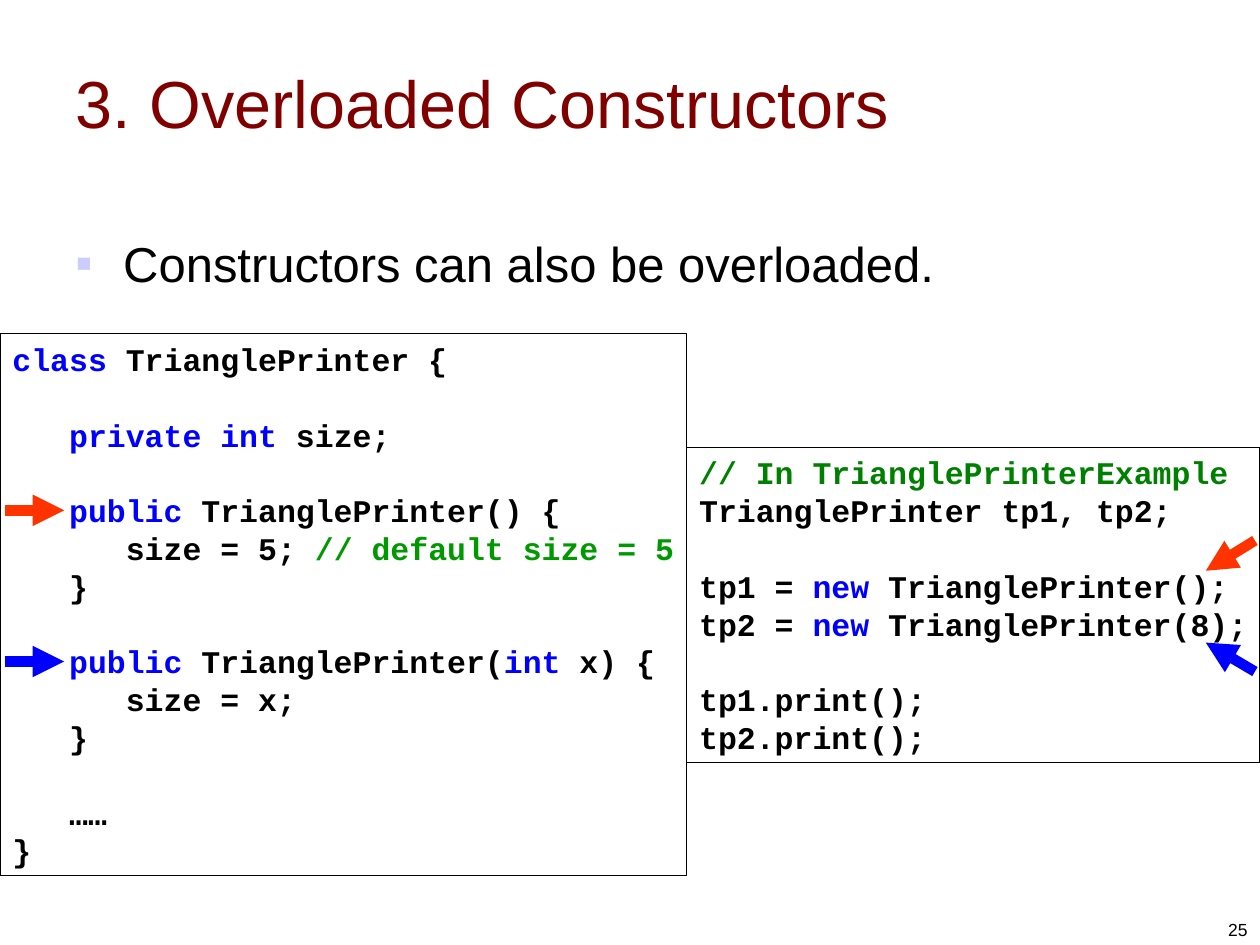
from dataclasses import dataclass

from lxml import etree
from pptx import Presentation
from pptx.dml.color import RGBColor
from pptx.enum.shapes import MSO_CONNECTOR, MSO_SHAPE
from pptx.enum.text import MSO_ANCHOR, MSO_AUTO_SIZE, PP_ALIGN
from pptx.oxml.ns import qn
from pptx.util import Inches, Pt

RECT, LINE = MSO_SHAPE.RECTANGLE, MSO_CONNECTOR.STRAIGHT
TOP, MIDDLE, BOTTOM = MSO_ANCHOR.TOP, MSO_ANCHOR.MIDDLE, MSO_ANCHOR.BOTTOM
LEFT, RIGHT = PP_ALIGN.LEFT, PP_ALIGN.RIGHT
TITLE_ONLY = 5
W, H = 10, 7.5
ROW, INSET, SPLIT = 0.3, 0.05, 0.545 * W


@dataclass(frozen=True)
class Theme:
    """Colours, fonts and type sizes of the slide."""
    ink: str = "000000"
    paper: str = "FFFFFF"
    title: str = "800000"
    bullet: str = "CCCCFF"
    keyword: str = "0000FF"
    note: str = "009900"
    heading: str = "008000"
    first: str = "FF3300"
    second: str = "0000FF"
    sans: str = "Arial"
    mono: str = "Courier New"
    title_size: int = 38
    body_size: int = 28
    code_size: int = 18
    number_size: int = 10


T = Theme()

CLASS_CODE = [
    [("class", T.keyword), " TrianglePrinter {"],
    [],
    ["   ", ("private int", T.keyword), " size;"],
    [],
    ["   ", ("public", T.keyword), " TrianglePrinter() {"],
    ["      size = 5; ", ("// default size = 5", T.note)],
    ["   }"],
    [],
    ["   ", ("public", T.keyword), " TrianglePrinter(", ("int", T.keyword), " x) {"],
    ["      size = x;"],
    ["   }"],
    [],
    ["   ……"],
    ["}"],
]
USAGE_CODE = [
    [("// In TrianglePrinterExample", T.heading)],
    ["TrianglePrinter tp1, tp2;"],
    [],
    ["tp1 = ", ("new", T.keyword), " TrianglePrinter();"],
    ["tp2 = ", ("new", T.keyword), " TrianglePrinter(8);"],
    [],
    ["tp1.print();"],
    ["tp2.print();"],
]


def rgb(value):
    """Turn a hex string into a colour."""
    return RGBColor.from_string(value)


def add_run(p, text, size=T.body_size, font=T.sans, color=T.ink, bold=False):
    """Add one formatted run to a paragraph."""
    r = p.add_run()
    r.text = text
    r.font.size, r.font.name, r.font.bold = Pt(size), font, bold
    r.font.color.rgb = rgb(color)


def set_frame(tf, anchor=TOP, wrap=True):
    """Set the anchor and wrapping of a text frame."""
    tf.auto_size = MSO_AUTO_SIZE.NONE
    tf.vertical_anchor, tf.word_wrap = anchor, wrap


def write(s, text, anchor=TOP, align=LEFT, **fmt):
    """Write one formatted line into a shape and return its paragraph."""
    set_frame(s.text_frame, anchor)
    p = s.text_frame.paragraphs[0]
    p.alignment = align
    add_run(p, text, **fmt)
    return p


def add_title(slide, box, text):
    """Place and format the title placeholder."""
    s = slide.shapes.title
    s.left, s.top, s.width, s.height = map(Inches, box)
    write(s, text, anchor=MIDDLE, size=T.title_size, color=T.title)


def add_bullet(slide, box, text):
    """Add the bulleted statement."""
    p = write(slide.shapes.add_textbox(*map(Inches, box)), text)
    pPr = p._p.get_or_add_pPr()
    pPr.set("marL", str(Inches(0.38)))
    pPr.set("indent", str(-Inches(0.38)))
    etree.SubElement(etree.SubElement(pPr, qn("a:buClr")), qn("a:srgbClr"), val=T.bullet)
    etree.SubElement(pPr, qn("a:buFont"), typeface=T.sans)
    etree.SubElement(pPr, qn("a:buChar"), char="▪")


def add_code(slide, box, lines):
    """Add a framed listing, turning each empty line into space before the next."""
    s = slide.shapes.add_shape(RECT, *map(Inches, box))
    s.shadow.inherit = False
    s.fill.solid()
    s.fill.fore_color.rgb = rgb(T.paper)
    s.line.color.rgb, s.line.width = rgb(T.ink), Pt(0.75)
    tf = s.text_frame
    set_frame(tf, wrap=False)
    for i, line in enumerate(lines):
        if not line:
            continue
        p = tf.add_paragraph() if i else tf.paragraphs[0]
        p.alignment, p.line_spacing = LEFT, Inches(ROW)
        if i and not lines[i - 1]:
            p.space_before = Inches(ROW)
        for part in line:
            text, color = (part, T.ink) if isinstance(part, str) else part
            add_run(p, text, size=T.code_size, font=T.mono, color=color, bold=True)


def add_arrow(slide, start, end, color):
    """Add a thick arrow from start to end."""
    c = slide.shapes.add_connector(LINE, *map(Inches, (*start, *end)))
    c.line.color.rgb, c.line.width = rgb(color), Pt(6)
    etree.SubElement(c.line._get_or_add_ln(), qn("a:tailEnd"), type="triangle")
    etree.SubElement(c._element.spPr, qn("a:effectLst"))


def add_class_panel(slide, x, y, w):
    """Add the class listing with an arrow at each constructor."""
    add_code(slide, (x, y, w, len(CLASS_CODE) * ROW + 2 * INSET), CLASS_CODE)
    for row, color in ((4, T.first), (8, T.second)):
        mid = y + INSET + (row + 0.5) * ROW
        add_arrow(slide, (x + 0.04, mid), (x + 0.51, mid), color)


def add_usage_panel(slide, x, y, w):
    """Add the usage listing with an arrow at each constructor call."""
    add_code(slide, (x, y, w, len(USAGE_CODE) * ROW + 2 * INSET), USAGE_CODE)
    for row, rise, color in ((3.1, -0.24, T.first), (5, 0.23, T.second)):
        tip = y + INSET + row * ROW
        add_arrow(slide, (x + w - 0.04, tip + rise), (x + w - 0.43, tip), color)


def add_number(slide, box, text):
    """Add the slide number."""
    s = slide.shapes.add_textbox(*map(Inches, box))
    write(s, text, anchor=BOTTOM, align=RIGHT, size=T.number_size)


def main():
    """Build and save the slide."""
    prs = Presentation()
    prs.slide_width, prs.slide_height = Inches(W), Inches(H)
    slide = prs.slides.add_slide(prs.slide_layouts[TITLE_ONLY])
    add_title(slide, (0.05 * W, 0.18, 0.9 * W, H / 6), "3. Overloaded Constructors")
    add_bullet(slide, (0.05 * W, 0.24 * H, 0.9 * W, 0.1 * H),
               "Constructors can also be overloaded.")
    add_class_panel(slide, 0, 2.65, SPLIT)
    add_usage_panel(slide, SPLIT, 2.65 + 3 * ROW, W - SPLIT)
    add_number(slide, (W - 2.33, 7.01, 2.33, 0.5), "25")
    prs.save("out.pptx")


if __name__ == "__main__":
    main()
